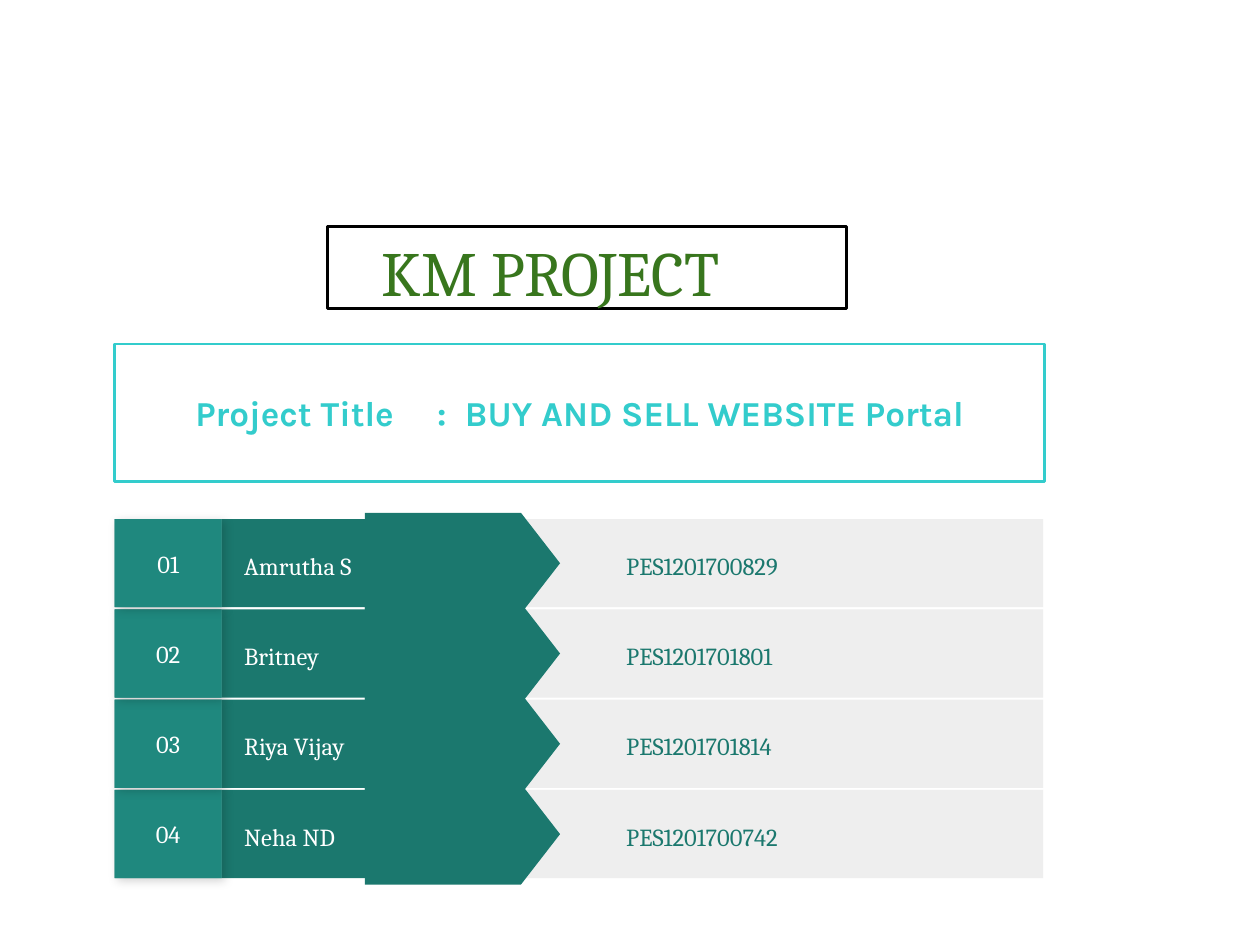
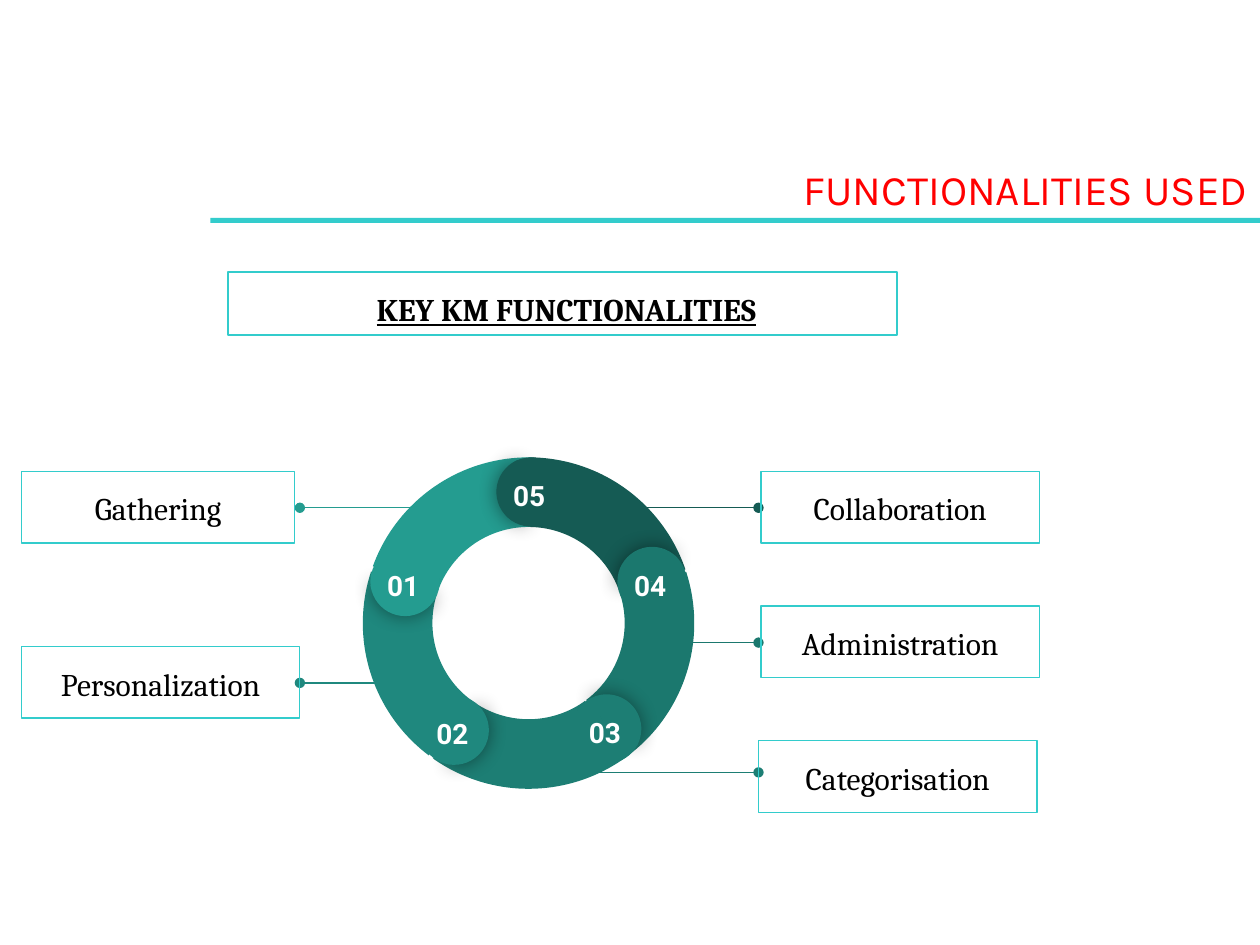
"""Builds the two-slide KM project deck: team list and key functionalities."""
from collections import namedtuple
from dataclasses import dataclass

from lxml.etree import SubElement
from pptx import Presentation
from pptx.dml.color import RGBColor as Rgb
from pptx.enum.shapes import MSO_CONNECTOR as Link, MSO_SHAPE as Shape
from pptx.enum.text import MSO_ANCHOR as Anchor, MSO_AUTO_SIZE as AutoSize, PP_ALIGN as Align
from pptx.oxml.ns import qn
from pptx.util import Inches, Pt

Type = namedtuple("Type", "name size color bold underline", defaults=(False, False))
Shade = namedtuple("Shade", "alpha blur distance angle")
Segment = namedtuple("Segment", "color arc_turn left top knob_turn")


@dataclass(frozen=True)
class Theme:
    aqua: str = "33CCCC"
    black: str = "000000"
    strip: str = "EEEEEE"
    deep: str = "1B786E"
    under: str = "1D7E74"
    mid: str = "1F887E"
    light: str = "249C90"
    dark: str = "155B54"
    thick: float = 1.5
    thin: float = 0.75
    cover: Type = Type("Cambria", 36, "38761D")
    heading: Type = Type("Karla", 24, "FF0000")
    project: Type = Type("Karla", 20, "33CCCC", True)
    member: Type = Type("Cambria", 14, "FFFFFF")
    member_id: Type = Type("Cambria", 14, "1B786E")
    label: Type = Type("Cambria", 18, "000000")
    subtitle: Type = Type("Cambria", 18, "000000", True, True)
    knob: Type = Type("Roboto", 16, "FFFFFF", True)
    row_shade: Shade = Shade(17, 5.6, 2.2, 45)
    knob_shade: Shade = Shade(43, 11.2, 0, 0)


def apply(target, values):
    for name, value in values.items():
        setattr(target, name, value)


class Deck:
    def __init__(self, theme):
        self.theme = theme
        self.show = Presentation()
        apply(self.show, {"slide_width": Inches(10), "slide_height": Inches(7.5)})
        self.slide = None

    def titled_slide(self, text, place, style, align, inset=0.1, outline=None):
        self.slide = self.show.slides.add_slide(self.show.slide_layouts[5])
        title = self.slide.shapes.title
        apply(title, dict(zip(("left", "top", "width", "height"), map(Inches, place))))
        self.outline(title, outline, self.theme.thick)
        self.fill_text(title, text, style, align, Anchor.TOP, inset, 0.05)

    def outline(self, shape, color, width):
        if color:
            shape.line.color.rgb = Rgb.from_string(color)
            shape.line.width = Pt(width)
        else:
            shape.line.fill.background()

    def fill_text(self, shape, text, style, align=Align.CENTER, anchor=Anchor.MIDDLE,
                  inset=0.1, inset_y=0.1, spacing=None, tabs=()):
        frame = shape.text_frame
        apply(frame, {
            "word_wrap": True, "auto_size": AutoSize.NONE, "vertical_anchor": anchor,
            "margin_left": Inches(inset), "margin_right": Inches(0.1),
            "margin_top": Inches(inset_y), "margin_bottom": Inches(inset_y)})
        paragraph = frame.paragraphs[0]
        apply(paragraph, {"alignment": align, "line_spacing": spacing})
        if tabs:
            stops = SubElement(paragraph._p.get_or_add_pPr(), qn("a:tabLst"))
            for stop in tabs:
                SubElement(stops, qn("a:tab"), pos=str(Inches(stop)), algn="l")
        run = paragraph.add_run()
        run.text = text
        apply(run.font, {"name": style.name, "size": Pt(style.size),
                         "bold": style.bold, "underline": style.underline})
        run.font.color.rgb = Rgb.from_string(style.color)

    def shape(self, place, fill=None, kind=Shape.RECTANGLE, outline=None, width=0.75,
              turn=0, adjust=(), shade=None):
        shape = self.slide.shapes.add_shape(kind, *map(Inches, place))
        apply(shape, {"rotation": turn})
        apply(shape.shadow, {"inherit": False})
        for index, value in enumerate(adjust):
            shape.adjustments[index] = value
        if fill:
            shape.fill.solid()
            shape.fill.fore_color.rgb = Rgb.from_string(fill)
        else:
            shape.fill.background()
        self.outline(shape, outline, width)
        if shade:
            self.cast(shape, shade)
        return shape

    def cast(self, shape, shade):
        effects = shape.element.spPr.find(qn("a:effectLst"))
        outer = SubElement(effects, qn("a:outerShdw"), blurRad=str(Pt(shade.blur)),
                           dist=str(Pt(shade.distance)), dir=str(shade.angle * 60000),
                           algn="ctr", rotWithShape="0")
        color = SubElement(outer, qn("a:srgbClr"), val=self.theme.black)
        SubElement(color, qn("a:alpha"), val=str(shade.alpha * 1000))

    def text(self, place, text, style, **layout):
        box = self.slide.shapes.add_textbox(*map(Inches, place))
        self.fill_text(box, text, style, **layout)

    def dotted_line(self, start, end, y, color):
        line = self.slide.shapes.add_connector(
            Link.STRAIGHT, Inches(start), Inches(y), Inches(end), Inches(y))
        self.outline(line, color, self.theme.thin)
        properties = line._element.spPr
        SubElement(properties.find(qn("a:ln")), qn("a:tailEnd"), type="oval")
        SubElement(properties, qn("a:effectLst"))

    def member_row(self, number, name, member_id, top):
        theme, height = self.theme, 0.7
        middle = top + height / 2
        badge = (0.91, top, 0.85, height)
        self.shape((3.55, top, 4.73, height), theme.strip)
        self.shape((1.76, top, 2.28, height), theme.deep)
        self.shape((3.27, middle - 1.55 / 2, 0.8, 1.55), theme.deep,
                   Shape.FLOWCHART_OFFPAGE_CONNECTOR, turn=270)
        self.text((1.84, top + 0.08, 2.4, 0.54), name, theme.member,
                  align=Align.LEFT, spacing=1.15)
        self.shape(badge, theme.under, shade=theme.row_shade)
        self.fill_text(self.shape(badge, theme.mid), f"{number:02}", theme.member)
        self.text((4.37, top, 3.68, height), member_id, theme.member_id,
                  align=Align.LEFT, inset=0.6, spacing=1.15)

    def arc(self, segment):
        self.shape((2.88, 3.63, 2.63, 2.63), segment.color, Shape.BLOCK_ARC,
                   turn=segment.arc_turn, adjust=(126.02, 168.68, 0.21))

    def knob(self, segment):
        place = (segment.left, segment.top, 0.55, 0.55)
        self.shape(place, segment.color, Shape.PIE, turn=segment.knob_turn,
                   adjust=(61.9, 149.96), shade=self.theme.knob_shade)
        self.shape(place, segment.color, Shape.PIE,
                   turn=(segment.knob_turn + 179.3) % 360, adjust=(40.28, 171.84))

    def caption(self, place, text, style, width, inset=0.1):
        frame = self.shape(place, outline=self.theme.aqua, width=width)
        self.fill_text(frame, text, style, anchor=Anchor.TOP, inset=inset, spacing=1.15)


def team_slide(deck):
    theme = deck.theme
    deck.titled_slide("KM PROJECT", (2.6, 1.8, 4.12, 0.65), theme.cover,
                      Align.LEFT, inset=0.43, outline=theme.black)
    project = deck.shape((0.91, 2.73, 7.38, 1.09), outline=theme.aqua, width=theme.thick)
    deck.fill_text(project, "Project Title\t:\tBUY AND SELL WEBSITE Portal", theme.project,
                   Align.LEFT, inset=0.64, tabs=(1.92, 2.14))
    members = (("Amrutha S", "PES1201700829"), ("Britney", "PES1201701801"),
               ("Riya Vijay", "PES1201701814"), ("Neha ND", "PES1201700742"))
    first_top, last_top = 4.12, 6.27
    pitch = (last_top - first_top) / (len(members) - 1)
    for index, (name, member_id) in reversed(list(enumerate(members))):
        deck.member_row(index + 1, name, member_id, first_top + index * pitch)


def functionalities_slide(deck):
    theme = deck.theme
    deck.titled_slide("FUNCTIONALITIES USED", (1.3, 1.25, 8.7, 0.5), theme.heading, Align.RIGHT)
    deck.shape((1.67, 1.73, 8.33, 0.04), theme.aqua)
    for start, end, y, color in (
            (3.53, 2.38, 4.03, theme.light), (3.25, 2.38, 5.42, theme.mid),
            (4.28, 6.02, 6.13, theme.under), (4.8, 6.02, 4.03, theme.dark),
            (5.18, 6.02, 5.1, theme.deep)):
        deck.dotted_line(start, end, y, color)
    segments = {
        "01": Segment(theme.light, 350, 2.94, 4.34, 284.1),
        "02": Segment(theme.mid, 277, 3.33, 5.52, 211.1),
        "03": Segment(theme.under, 204, 4.54, 5.51, 139.1),
        "04": Segment(theme.deep, 132, 4.9, 4.34, 67.1),
        "05": Segment(theme.dark, 60, 3.94, 3.63, 357.1)}
    for draw, number in (
            (deck.arc, "02"), (deck.arc, "04"), (deck.arc, "05"), (deck.knob, "04"),
            (deck.arc, "03"), (deck.knob, "02"), (deck.arc, "01"), (deck.knob, "05"),
            (deck.knob, "03"), (deck.knob, "01")):
        draw(segments[number])
    for number, segment in segments.items():
        deck.text((segment.left + 0.02, segment.top + 0.07, 0.48, 0.25), number,
                  theme.knob, anchor=Anchor.TOP)
    for name, left, top, width in (
            ("Gathering", 0.17, 3.74, 2.17), ("Personalization", 0.17, 5.13, 2.21),
            ("Administration", 6.04, 4.81, 2.21), ("Collaboration", 6.04, 3.74, 2.21),
            ("Categorisation", 6.02, 5.88, 2.21)):
        deck.caption((left, top, width, 0.57), name, theme.label, theme.thin)
    deck.caption((1.81, 2.16, 5.31, 0.5), "KEY KM FUNCTIONALITIES", theme.subtitle,
                 theme.thick, inset=0.16)


def main():
    deck = Deck(Theme())
    team_slide(deck)
    functionalities_slide(deck)
    deck.show.save("out.pptx")


if __name__ == "__main__":
    main()
